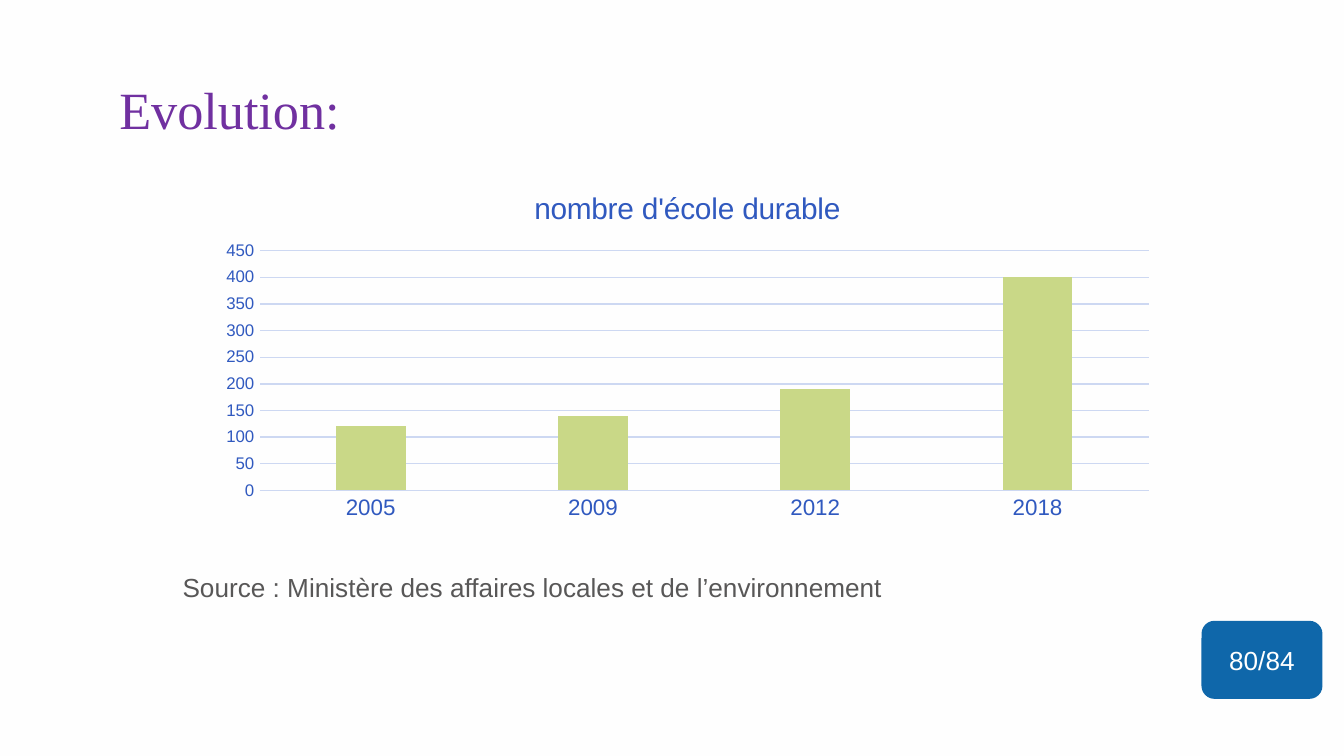
from dataclasses import dataclass

from pptx import Presentation
from pptx.chart.data import CategoryChartData
from pptx.dml.color import RGBColor
from pptx.enum.chart import XL_CHART_TYPE, XL_TICK_MARK
from pptx.enum.shapes import MSO_SHAPE
from pptx.enum.text import MSO_ANCHOR, PP_ALIGN
from pptx.util import Pt

COLUMNS = XL_CHART_TYPE.COLUMN_CLUSTERED
NO_TICK = XL_TICK_MARK.NONE
ROUNDED = MSO_SHAPE.ROUNDED_RECTANGLE
TOP, MIDDLE = MSO_ANCHOR.TOP, MSO_ANCHOR.MIDDLE
LEFT, CENTER = PP_ALIGN.LEFT, PP_ALIGN.CENTER

SANS, SERIF = "Arial", "Times New Roman"
BLUE, PALE_BLUE, GREEN = "3059BF", "CDD8F2", "C9D887"
CHART_TITLE = "nombre d'école durable"
SCHOOLS = {"2005": 120, "2009": 140, "2012": 190, "2018": 400}


@dataclass
class Label:
    text: str
    place: tuple[float, float, float, float]
    size: float
    color: str
    font: str = SANS
    fill: str | None = None
    anchor: MSO_ANCHOR = TOP
    align: PP_ALIGN = LEFT
    margins: tuple[float, float] = (7.2, 3.6)


LABELS = [
    Label("Evolution:", (56.9, 35.3, 607, 45.4), 28, "7030A0", SERIF,
          anchor=MIDDLE, margins=(7.2, 7.2)),
    Label("Source : Ministère des affaires locales et de l’environnement",
          (90.7, 302.4, 565.2, 24.5), 14, "585757"),
    Label("80/84", (643.7, 332.6, 64.8, 41.8), 14, "FFFFFF",
          fill="0F67AA", anchor=MIDDLE, align=CENTER),
]


def rgb(value: str) -> RGBColor:
    return RGBColor.from_string(value)


def style_font(font, size: float, color: str, name: str = SANS) -> None:
    for key, value in {"size": Pt(size), "name": name, "bold": False}.items():
        setattr(font, key, value)
    font.color.rgb = rgb(color)


def style_line(line) -> None:
    line.color.rgb = rgb(PALE_BLUE)
    line.width = Pt(0.75)


def draw_label(page, label: Label) -> None:
    place = [Pt(length) for length in label.place]
    if label.fill:
        box = page.shapes.add_shape(ROUNDED, *place)
        box.shadow.inherit = False
        box.fill.solid()
        box.fill.fore_color.rgb = rgb(label.fill)
        box.line.fill.background()
    else:
        box = page.shapes.add_textbox(*place)
    side, edge = (Pt(margin) for margin in label.margins)
    frame = box.text_frame
    settings = {"word_wrap": True, "vertical_anchor": label.anchor,
                "margin_left": side, "margin_right": side,
                "margin_top": edge, "margin_bottom": edge}
    for key, value in settings.items():
        setattr(frame, key, value)
    para = frame.paragraphs[0]
    para.alignment = label.align
    span = para.add_run()
    span.text = label.text
    style_font(span.font, label.size, label.color, label.font)


def draw_chart(page) -> None:
    data = CategoryChartData()
    data.categories = list(SCHOOLS)
    data.add_series(CHART_TITLE, list(SCHOOLS.values()))
    place = [Pt(length) for length in (110.9, 90.7, 514.8, 191.5)]
    chart = page.shapes.add_chart(COLUMNS, *place, data).chart
    style_font(chart.font, 10, "13234B")
    chart.has_legend = False

    # Chart title
    chart.has_title = True
    frame = chart.chart_title.text_frame
    frame.text = CHART_TITLE
    style_font(frame.paragraphs[0].runs[0].font, 16, BLUE)
    chart.chart_title.include_in_layout = False

    # Columns
    plot = chart.plots[0]
    for key, value in {"gap_width": 219, "overlap": -27,
                       "vary_by_categories": False}.items():
        setattr(plot, key, value)
    fill = plot.series[0].format.fill
    fill.solid()
    fill.fore_color.rgb = rgb(GREEN)

    # Axes and grid
    for axis, size in ((chart.category_axis, 12), (chart.value_axis, 9)):
        axis.major_tick_mark = axis.minor_tick_mark = NO_TICK
        style_font(axis.tick_labels.font, size, BLUE)
    style_line(chart.category_axis.format.line)
    values = chart.value_axis
    values.format.line.fill.background()
    for key, value in {"minimum_scale": 0, "maximum_scale": 450,
                       "major_unit": 50, "has_major_gridlines": True}.items():
        setattr(values, key, value)
    style_line(values.major_gridlines.format.line)


def main() -> None:
    deck = Presentation()
    deck.slide_width, deck.slide_height = Pt(720), Pt(405)
    page = deck.slides.add_slide(deck.slide_layouts[6])
    page.background.fill.solid()
    page.background.fill.fore_color.rgb = rgb("FEFEFE")

    draw_chart(page)
    for label in LABELS:
        draw_label(page, label)
    deck.save("out.pptx")


if __name__ == "__main__":
    main()
